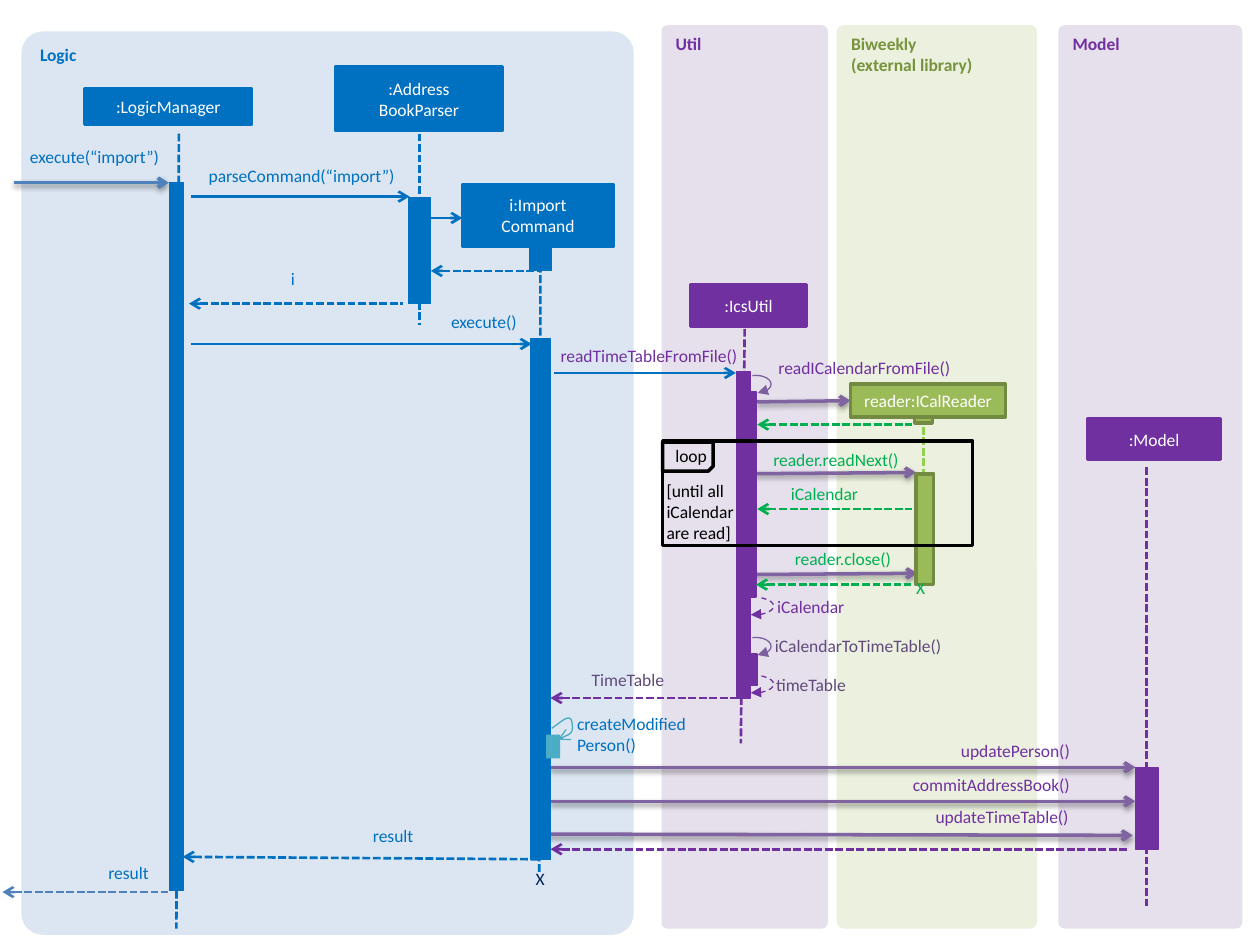
from lxml.etree import SubElement
from pptx import Presentation
from pptx.dml.color import RGBColor
from pptx.enum.dml import MSO_LINE
from pptx.enum.shapes import MSO_CONNECTOR, MSO_SHAPE
from pptx.enum.text import MSO_ANCHOR, PP_ALIGN
from pptx.oxml.ns import qn
from pptx.util import Inches, Pt

deck = Presentation()
deck.slide_width, deck.slide_height = Inches(10), Inches(7.5)
slide = deck.slides.add_slide(deck.slide_layouts[6])
shapes = slide.shapes
cell = deck.slide_width // 10

BLUE, PURPLE, GREEN, LEAF, OLIVE = "0070C0", "7030A0", "00B050", "9BBB59", "738A42"
STEEL, VIOLET, PLUM, BLACK, WHITE = "4F81BD", "8064A2", "604A7B", "000000", "FFFFFF"
LEFT, MID, RIGHT = PP_ALIGN.LEFT, PP_ALIGN.CENTER, PP_ALIGN.RIGHT
DOTS, DASH = MSO_LINE.SQUARE_DOT, MSO_LINE.DASH
main, book, order, util, cal, model = 1.4, 3.33, 4.29, 5.9, 7.33, 9.1


def style(shape, fill="", edge="", wide=0.75, dash=None, end="", tip="arrow", shade=False):
    if fill:
        shape.fill.solid()
        shape.fill.fore_color.rgb = RGBColor.from_string(fill)
    elif hasattr(shape, "fill"):
        shape.fill.background()
    if edge:
        shape.line.color.rgb = RGBColor.from_string(edge)
        shape.line.width = Pt(wide)
    else:
        shape.line.fill.background()
    if dash:
        shape.line.dash_style = dash
    props = shape._element.spPr
    if end:
        SubElement(props.find(qn("a:ln")), qn("a:" + end), type=tip)
    glow = SubElement(props, qn("a:effectLst"))
    if shade:
        drop = SubElement(glow, qn("a:outerShdw"), blurRad="40000", dist="20000", dir="5400000", rotWithShape="0")
        tone = SubElement(drop, qn("a:srgbClr"), val=BLACK)
        SubElement(tone, qn("a:alpha"), val="38000")


def write(shape, text, hue, align=LEFT, bold=None, anchor=MSO_ANCHOR.TOP, pad=0):
    frame = shape.text_frame
    frame.word_wrap = True
    frame.vertical_anchor = anchor
    frame.margin_left = frame.margin_right = int(pad * cell)
    frame.margin_top = frame.margin_bottom = int(pad * cell / 2)
    frame.text = text
    for para in frame.paragraphs:
        para.alignment = align
        for run in para.runs:
            run.font.name, run.font.size, run.font.bold = "Calibri", Pt(10), bold
            run.font.color.rgb = RGBColor.from_string(hue)


for text, x, y, w, fill, hue in [
    ("Biweekly\n(external library)", 6.64, 0.2, 1.59, "EBF1DE", "77933C"),
    ("Util", 5.25, 0.2, 1.32, "E6E0EC", PURPLE),
    ("Logic", 0.17, 0.25, 4.86, "DCE6F2", BLUE),
    ("Model", 8.4, 0.2, 1.46, "E6E0EC", PURPLE),
]:
    panel = shapes.add_shape(MSO_SHAPE.ROUNDED_RECTANGLE, *[int(v * cell) for v in (x, y, w, 7.17)])
    panel.adjustments[0] = 0.035
    style(panel, fill)
    write(panel, text, hue, bold=True, pad=0.1)

for x, top, end, low, hue in [
    (main + 0.02, 1.06, main, 7.37, BLUE),
    (book, 1.06, book, 2.58, BLUE),
    (order, 1.85, order - 0.01, 6.92, BLUE),
    (util + 0.01, 2.61, util - 0.02, 5.9, PURPLE),
    (cal, 3.22, cal, 3.95, "92D050"),
    (model, 3.71, model, 7.2, PURPLE),
]:
    life = shapes.add_connector(MSO_CONNECTOR.STRAIGHT, *[int(v * cell) for v in (x, top, end, low)])
    style(life, "", hue, 1.5, DOTS)

for x, y, end, low, hue in [
    (0.11, 1.45, 1.34, 1.45, STEEL),
    (3.29, 1.73, 3.67, 1.73, BLUE),
    (1.52, 1.56, 3.25, 1.56, BLUE),
    (1.52, 2.73, 4.22, 2.73, BLUE),
    (4.4, 2.96, 5.84, 2.96, BLUE),
    (6.01, 3.19, 6.75, 3.18, VIOLET),
    (5.95, 3.76, 7.27, 3.75, VIOLET),
    (5.97, 4.56, 7.28, 4.55, VIOLET),
    (4.37, 6.09, 9.01, 6.09, VIOLET),
    (4.37, 6.36, 9.01, 6.36, VIOLET),
    (4.35, 6.62, 8.99, 6.63, VIOLET),
]:
    call = shapes.add_connector(MSO_CONNECTOR.STRAIGHT, *[int(v * cell) for v in (x, y, end, low)])
    bold = hue != BLUE
    style(call, "", hue, 2 if bold else 1.5, end="tailEnd", shade=bold)

for mid, y, w, h, fill, edge, wide in [
    (main, 1.45, 0.11, 5.62, BLUE, BLUE, 0.75),
    (book, 1.57, 0.17, 0.84, BLUE, BLUE, 0.75),
    (order, 1.85, 0.17, 0.3, BLUE, BLUE, 0.75),
    (order, 2.69, 0.16, 4.13, BLUE, BLUE, 0.75),
    (util, 2.95, 0.11, 2.59, PURPLE, PURPLE, 0.75),
    (util + 0.05, 3.11, 0.1, 1.63, PURPLE, PURPLE, 0.75),
    (util + 0.06, 5.19, 0.1, 0.25, PURPLE, PURPLE, 0.75),
    (cal, 3.2, 0.14, 0.16, LEAF, OLIVE, 2),
    (cal + 0.01, 3.76, 0.14, 0.88, LEAF, OLIVE, 2),
    (model, 6.09, 0.18, 0.65, PURPLE, PURPLE, 0.75),
    (order + 0.1, 5.83, 0.11, 0.19, "4BACC6", "", 0.75),
]:
    bar = shapes.add_shape(MSO_SHAPE.RECTANGLE, *[int(v * cell) for v in (mid - w / 2, y, w, h)])
    style(bar, fill, edge, wide)

for text, x, y, w, h, fill, edge, wide in [
    (":LogicManager", 0.67, 0.7, 1.33, 0.29, BLUE, BLUE, 1.5),
    (":Address\nBookParser", 2.66, 0.53, 1.33, 0.51, BLUE, BLUE, 1.5),
    ("i:Import\vCommand", 3.67, 1.46, 1.2, 0.5, BLUE, BLUE, 1.5),
    (":IcsUtil", 5.48, 2.26, 0.92, 0.33, PURPLE, PURPLE, 1.5),
    ("reader:ICalReader", 6.75, 3.05, 1.23, 0.26, LEAF, OLIVE, 2),
    (":Model", 8.63, 3.32, 1.06, 0.33, PURPLE, PURPLE, 1.5),
]:
    box = shapes.add_shape(MSO_SHAPE.RECTANGLE, *[int(v * cell) for v in (x, y, w, h)])
    style(box, fill, edge, wide)
    write(box, text, WHITE, MID, anchor=MSO_ANCHOR.MIDDLE)

for x, y, end, low, hue in [
    (3.42, 2.15, 4.29, 2.15, BLUE),
    (1.5, 2.41, 3.2, 2.41, BLUE),
    (0.02, 7.08, 1.33, 7.08, STEEL),
    (1.45, 6.8, 4.29, 6.82, BLUE),
    (4.37, 5.54, 5.91, 5.54, PURPLE),
    (4.37, 6.74, 8.96, 6.74, PURPLE),
    (6.01, 3.37, 7.24, 3.37, GREEN),
    (6.01, 4.04, 7.24, 4.04, GREEN),
    (6, 4.64, 7.23, 4.64, GREEN),
]:
    reply = shapes.add_connector(MSO_CONNECTOR.STRAIGHT, *[int(v * cell) for v in (x, y, end, low)])
    style(reply, "", hue, 1.5, DOTS, "headEnd")

for kind, x, y, w, h in [
    (MSO_SHAPE.RECTANGLE, 5.26, 3.5, 2.46, 0.83),
    (MSO_SHAPE.SNIP_1_RECTANGLE, 5.26, 3.51, 0.4, 0.23),
]:
    frame = shapes.add_shape(kind, *[int(v * cell) for v in (x, y, w, h)])
    style(frame, "", BLACK, 2)
frame._element.spPr.xfrm.set("flipV", "1")

for x, y, w, back in [(5.88, 2.98, 0.24, False), (5.88, 5.06, 0.24, False),
                      (5.82, 4.74, 0.32, True), (5.82, 5.36, 0.32, True)]:
    arc = shapes.add_shape(MSO_SHAPE.ARC, *[int(v * cell) for v in (x, y, w, 0.14)])
    if back:
        arc.adjustments[0], arc.adjustments[1] = 151.563, 37.367
        arc._element.spPr.xfrm.set("flipV", "1")
        style(arc, "", PURPLE, 0.75, DASH, "headEnd", "triangle")
    else:
        arc.adjustments[0], arc.adjustments[1] = 148.661, 47.763
        style(arc, "", "7D60A0", 0.75, end="tailEnd", tip="triangle")

bend = [(4.43, 5.87), (4.48, 5.85), (4.53, 5.83), (4.54, 5.8), (4.55, 5.77),
        (4.54, 5.7), (4.52, 5.7), (4.49, 5.69), (4.44, 5.74), (4.38, 5.78)]
dots = []
for i in (0, 3, 6):
    for t in [n / 8 for n in range(1, 9)]:
        mix = ((1 - t) ** 3, 3 * t * (1 - t) ** 2, 3 * t * t * (1 - t), t ** 3)
        dots.append([int(cell * sum(m * p[k] for m, p in zip(mix, bend[i:i + 4]))) for k in (0, 1)])
pen = shapes.build_freeform(*[int(v * cell) for v in bend[0]])
pen.add_line_segments(dots, close=False)
style(pen.convert_to_shape(), "", "46AAC5", 0.75, end="headEnd")

for text, x, y, w, hue, align in [
    ("execute(“import”)", 0.17, 1.16, 1.09, BLUE, RIGHT),
    ("parseCommand(“import”)", 1.5, 1.31, 1.63, BLUE, RIGHT),
    ("i", 2.1, 2.13, 0.24, BLUE, RIGHT),
    ("execute()", 3.56, 2.47, 0.54, BLUE, RIGHT),
    ("readTimeTableFromFile()", 3.68, 2.74, 2.17, PURPLE, RIGHT),
    ("readICalendarFromFile()", 6.12, 2.83, 1.42, PURPLE, RIGHT),
    ("loop", 5.36, 3.53, 0.3, BLACK, LEFT),
    ("[until all\niCalendar\nare read]", 5.29, 3.81, 0.6, BLACK, LEFT),
    ("reader.readNext()", 6.09, 3.56, 1.04, GREEN, RIGHT),
    ("iCalendar", 5.61, 3.83, 1.2, GREEN, RIGHT),
    ("reader.close()", 6.19, 4.35, 0.88, GREEN, RIGHT),
    ("X", 7.27, 4.58, 0.15, GREEN, LEFT),
    ("iCalendar", 5.5, 4.73, 1.2, PURPLE, RIGHT),
    ("iCalendarToTimeTable()", 6.15, 5.04, 1.35, PLUM, LEFT),
    ("timeTable", 6.16, 5.35, 0.76, PLUM, LEFT),
    ("TimeTable", 3.67, 5.31, 1.6, PLUM, RIGHT),
    ("createModified\nPerson()", 4.58, 5.66, 1, BLUE, LEFT),
    ("updatePerson()", 6.32, 5.87, 2.17, PURPLE, RIGHT),
    ("commitAddressBook()", 6.32, 6.14, 2.17, PURPLE, RIGHT),
    ("updateTimeTable()", 6.31, 6.4, 2.17, PURPLE, RIGHT),
    ("result", 2.6, 6.55, 0.68, BLUE, RIGHT),
    ("result", 0.35, 6.84, 0.83, BLUE, RIGHT),
    ("X", 4.25, 6.89, 0.15, "002060", LEFT),
]:
    tall = 0.17 * (text.count("\n") + 1)
    label = shapes.add_textbox(*[int(v * cell) for v in (x, y, w, tall)])
    write(label, text, hue, align)

deck.save("out.pptx")
